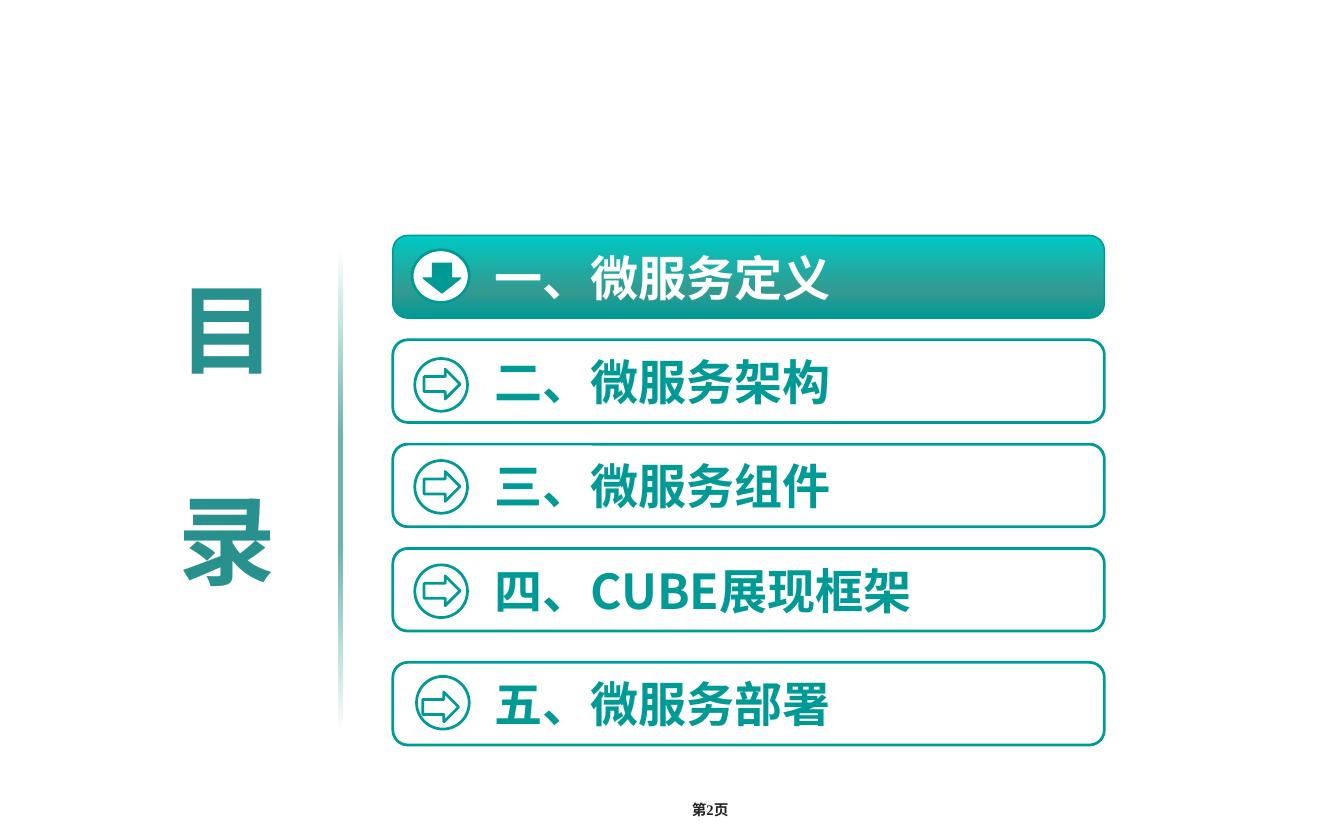
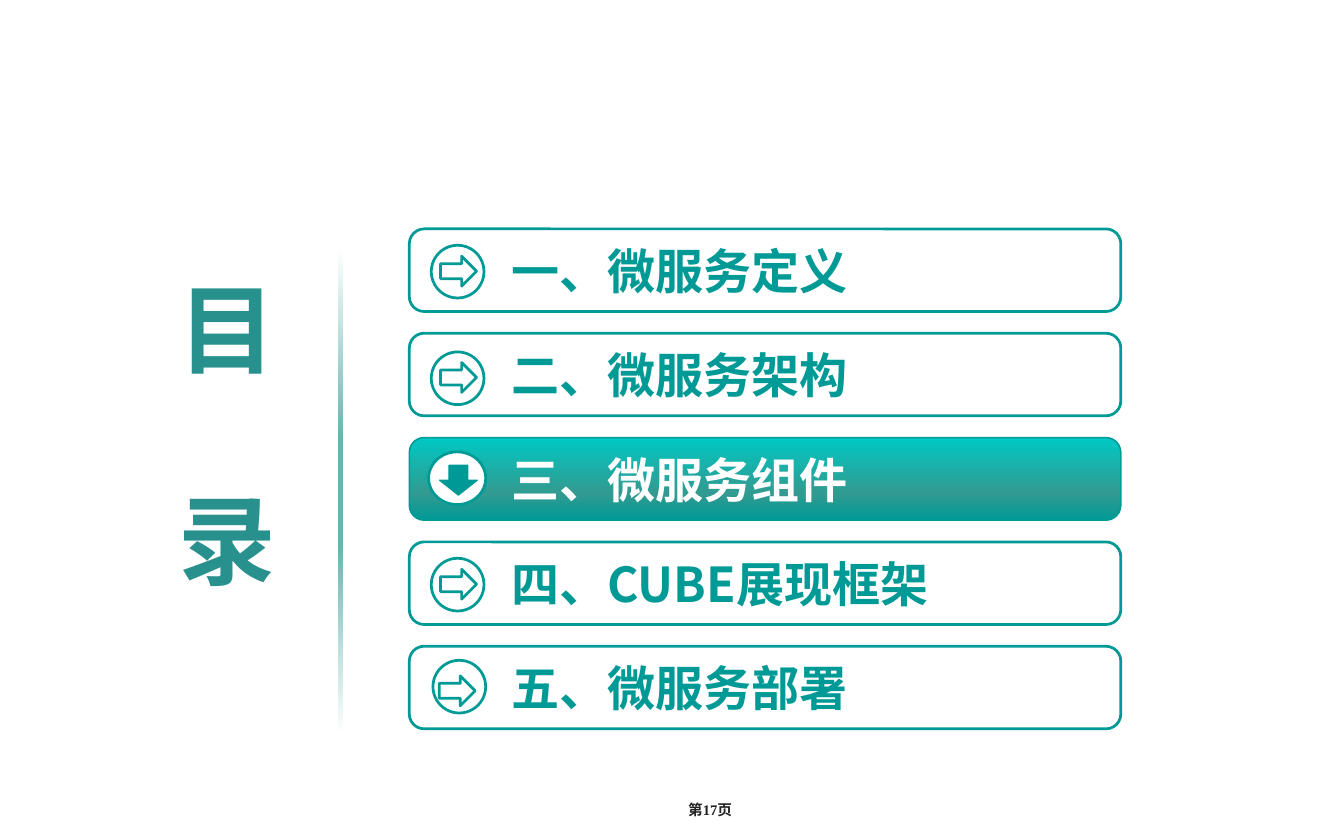
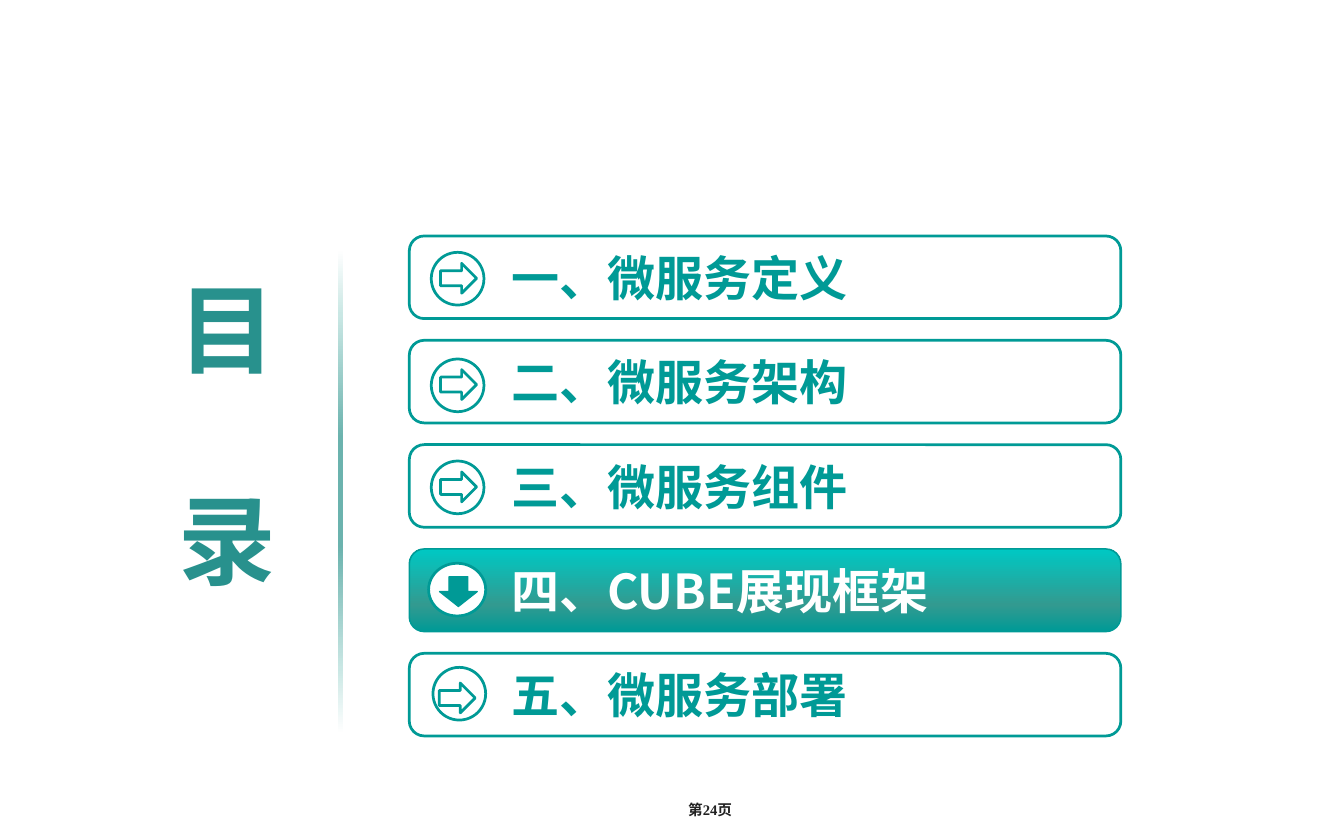
from pptx import Presentation
from pptx.dml.color import RGBColor
from pptx.enum.shapes import MSO_SHAPE
from pptx.enum.text import MSO_ANCHOR, MSO_AUTO_SIZE, PP_ALIGN
from pptx.oxml import parse_xml
from pptx.oxml.ns import nsdecls, qn
from pptx.util import Pt

CHAPTERS = [
    ("一、微服务定义", (18, 13.4), (25.6, 22.4)),
    ("二、微服务架构", (18, 15.3), (25.6, 24)),
    ("三、微服务组件", (18, 13.4), (25.6, 22.4)),
    ("四、CUBE展现框架", (18, 13.4), (25.6, 22.4)),
    ("五、微服务部署", (19.4, 11.5), (24.5, 24.3)),
]
AGENDAS = [
    {"page": 2, "active": 0, "left": 322, "top": 193, "last_shift": 7.8},
    {"page": 17, "active": 2, "left": 335.5, "top": 187.6, "last_shift": 0},
    {"page": 24, "active": 3, "left": 335.5, "top": 193.4, "last_shift": 0},
]
ROW_PITCH = 85.5


def color(value):
    """Turn a hex string into a colour."""
    return RGBColor.from_string(value)


class AgendaDeck:
    """Hold the agenda style and the current slide."""

    TEAL = "009A96"
    HEADING = "28918D"
    WHITE = "FFFFFF"
    INK = "212121"
    HEAVY_FONT = "Noto Sans CJK SC"
    PAGE_FONT = "Times New Roman"
    ROW_STOPS = [(0, "009A96"), (32, "329A90"), (100, "00C8C3")]
    BAR_STOPS = [(22, "6BB3AE"), (73, "C9E7E4"), (100, "FFFFFF")]
    UPWARD = '<a:lin ang="16200000" scaled="0"/>'
    FROM_CENTRE = ('<a:path path="circle"><a:fillToRect l="50000" t="50000" '
                   'r="50000" b="50000"/></a:path>')

    def __init__(self):
        """Open a deck of the right size."""
        self.deck = Presentation()
        self.deck.slide_width = Pt(1101.6)
        self.deck.slide_height = Pt(681.8)
        self.slide = None

    def add_slide(self):
        """Start a slide with the shared heading and bar."""
        self.slide = self.deck.slides.add_slide(self.deck.slide_layouts[5])
        self.add_heading()
        self.add_bar()

    def format_text(self, frame, size, fill, font, align):
        """Format every run of a text frame."""
        frame.word_wrap = True
        frame.auto_size = MSO_AUTO_SIZE.NONE
        frame.vertical_anchor = MSO_ANCHOR.MIDDLE
        for para in frame.paragraphs:
            para.alignment = align
            for span in para.runs:
                span.font.size = Pt(size)
                span.font.bold = True
                span.font.name = font
                span.font.color.rgb = color(fill)
                east_asian = parse_xml(f'<a:ea {nsdecls("a")} typeface="{self.HEAVY_FONT}"/>')
                span.font._element.find(qn("a:latin")).addnext(east_asian)

    def add_heading(self):
        """Place the stacked heading in the title placeholder."""
        title = self.slide.shapes.title
        title.left, title.top, title.width, title.height = Pt(136.8), Pt(237.6), Pt(96.5), Pt(234)
        frame = title.text_frame
        frame.text = "目\n录"
        frame.paragraphs[1].space_before = Pt(77)
        self.format_text(frame, 80, self.HEADING, self.HEAVY_FONT, PP_ALIGN.RIGHT)

    def add_bar(self):
        """Draw the fading bar beside the heading."""
        bar = self.add_shape(self.slide, MSO_SHAPE.RECTANGLE, (277.2, 204.5, 3.6, 396.7), self.WHITE)
        self.set_gradient(bar, self.BAR_STOPS, self.FROM_CENTRE)

    def add_shape(self, parent, kind, frame, fill, line_width=0):
        """Draw a flat shape with an optional teal outline."""
        shape = parent.shapes.add_shape(kind, *[Pt(length) for length in frame])
        shape.shadow.inherit = False
        shape.fill.solid()
        shape.fill.fore_color.rgb = color(fill)
        if line_width:
            shape.line.color.rgb = color(self.TEAL)
            shape.line.width = Pt(line_width)
        else:
            shape.line.fill.background()
        return shape

    def set_gradient(self, shape, stops, direction):
        """Fill a shape with a gradient."""
        marks = "".join(f'<a:gs pos="{place * 1000}"><a:srgbClr val="{value}"/></a:gs>'
                        for place, value in stops)
        gradient = parse_xml(f'<a:gradFill {nsdecls("a")} rotWithShape="1">'
                             f'<a:gsLst>{marks}</a:gsLst>{direction}</a:gradFill>')
        properties = shape._element.spPr
        properties.replace(properties.find(qn("a:solidFill")), gradient)

    def add_row(self, left, top, chapter, active):
        """Draw one chapter row with its badge."""
        text, circle_shift, arrow_shift = chapter
        group = self.slide.shapes.add_group_shape()
        row = self.add_shape(group, MSO_SHAPE.ROUNDED_RECTANGLE, (left, top, 583.2, 67.7),
                             self.WHITE, 1.25 if active else 2.25)
        row.adjustments[0] = 0.18
        frame = row.text_frame
        frame.text = text
        frame.margin_left, frame.margin_right = Pt(80), Pt(11.5)
        frame.margin_top = frame.margin_bottom = Pt(5.8)
        self.format_text(frame, 39.4, self.WHITE if active else self.TEAL,
                         self.HEAVY_FONT, PP_ALIGN.LEFT)
        if active:
            self.set_gradient(row, self.ROW_STOPS, self.UPWARD)
            circle = (left + 15.8, top + 11.7, 46.8, 43.2)
            arrow = (left + 28, top + 19.4, 24.5, 31)
        else:
            circle = (left + circle_shift[0], top + circle_shift[1], 43.2, 43.2)
            arrow = (left + arrow_shift[0], top + arrow_shift[1], 29.5, 24.5)
        self.add_shape(group, MSO_SHAPE.OVAL, circle, self.WHITE, 2.25)
        pointer = self.add_shape(group, MSO_SHAPE.RIGHT_ARROW, arrow,
                                 self.TEAL if active else self.WHITE, 1 if active else 2.25)
        pointer.rotation = 90 if active else 0

    def add_page_number(self, number):
        """Write the page number at the foot."""
        box = self.slide.shapes.add_textbox(Pt(550.8), Pt(645.1), Pt(62.6), Pt(36))
        box.text_frame.text = f"第{number}页"
        self.format_text(box.text_frame, 12, self.INK, self.PAGE_FONT, PP_ALIGN.CENTER)

    def add_agenda(self, page, active, left, top, last_shift):
        """Build a slide listing all chapters."""
        self.add_slide()
        self.add_page_number(page)
        for index, chapter in enumerate(CHAPTERS):
            shift = last_shift if index == len(CHAPTERS) - 1 else 0
            self.add_row(left, top + index * ROW_PITCH + shift, chapter, index == active)


def main():
    """Build and save the deck."""
    agenda = AgendaDeck()
    for settings in AGENDAS:
        agenda.add_agenda(**settings)
    agenda.deck.save("out.pptx")


if __name__ == "__main__":
    main()
